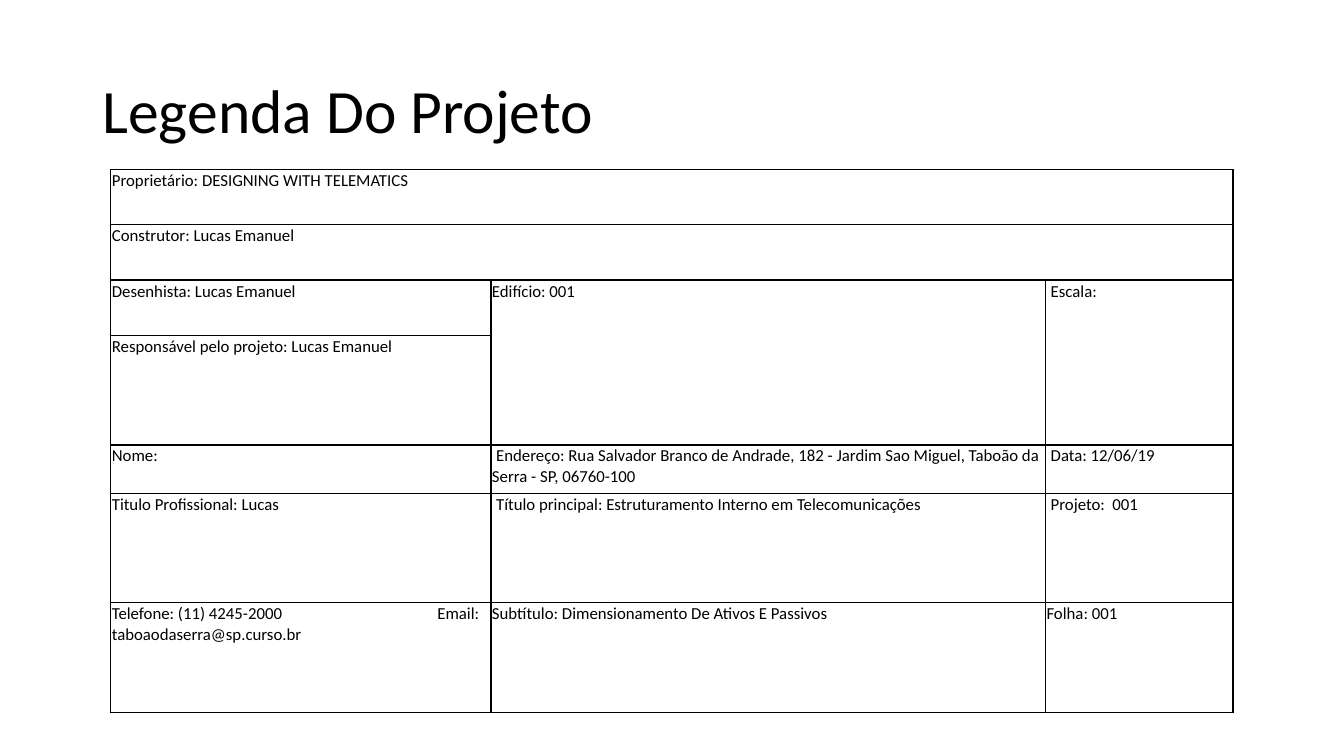
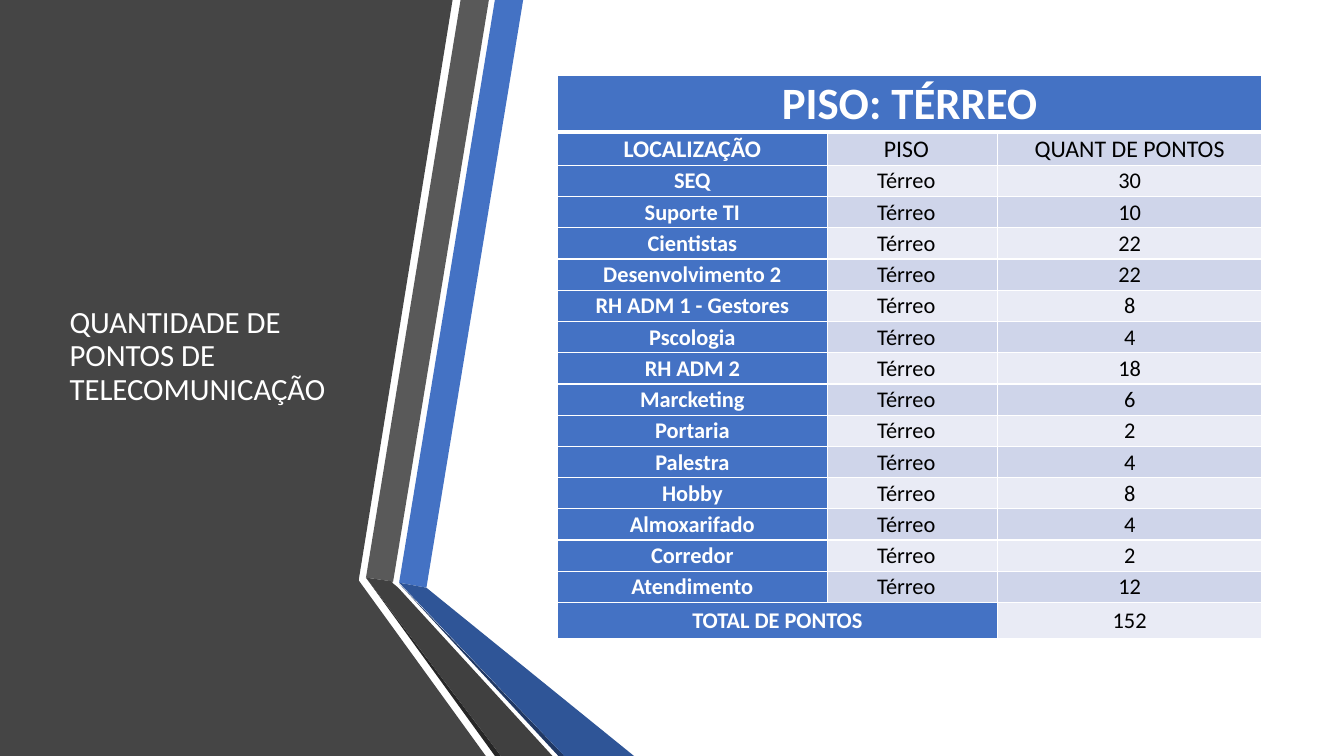
from collections import namedtuple

from lxml import etree
from pptx import Presentation
from pptx.dml.color import RGBColor
from pptx.enum import text as t
from pptx.oxml.ns import qn
from pptx.util import Pt

Box = namedtuple("Box", "left top width height")

COLORS = {
    "black": "000000",
    "white": "FFFFFF",
    "panel": "454545",
    "blue": "4472C4",
    "deep_blue": "2F5597",
    "navy": "203864",
    "gray": "595959",
    "charcoal": "404040",
    "coal": "262626",
    "band_dark": "CFD5EA",
    "band_light": "E9EBF5",
}
FONT = "Calibri"
TITLE_ONLY = 5
SLIDE = Box(0, 0, 960, 540)

TITLE_FRAME = {
    "word_wrap": True,
    "auto_size": t.MSO_AUTO_SIZE.NONE,
    "vertical_anchor": t.MSO_ANCHOR.MIDDLE,
}
TITLE_PARAGRAPH = {"alignment": t.PP_ALIGN.LEFT, "line_spacing": 0.9}

LEGEND_CELL = {
    "margin_left": Pt(0.72),
    "margin_right": Pt(0.72),
    "margin_top": Pt(0.72),
    "margin_bottom": Pt(0),
    "vertical_anchor": t.MSO_ANCHOR.TOP,
}
POINTS_CELL = {
    "margin_left": Pt(5.5),
    "margin_right": Pt(5.5),
    "margin_top": Pt(0),
    "margin_bottom": Pt(0),
    "vertical_anchor": t.MSO_ANCHOR.MIDDLE,
}
POINTS_PARAGRAPH = {"alignment": t.PP_ALIGN.CENTER, "line_spacing": 1.03}

LEGEND_COLUMNS = [3.77, 5.5, 1.86]
LEGEND_ROWS = [0.55, 0.55, 0.55, 1.09, 0.48, 1.09, 1.09]
LEGEND_SPANS = [(0, 0, 0, 2), (1, 0, 1, 2), (2, 1, 3, 1), (2, 2, 3, 2)]
LEGEND = [
    ["Proprietário: DESIGNING WITH TELEMATICS", "", ""],
    ["Construtor: Lucas Emanuel", "", ""],
    ["Desenhista: Lucas Emanuel", "Edifício: 001", "Escala:"],
    ["Responsável pelo projeto: Lucas Emanuel", "", ""],
    ["Nome:",
     "Endereço: Rua Salvador Branco de Andrade, 182 - Jardim Sao Miguel, "
     "Taboão da Serra - SP, 06760-100",
     "Data: 12/06/19"],
    ["Titulo Profissional: Lucas",
     "Título principal: Estruturamento Interno em Telecomunicações",
     "Projeto:  001"],
    ["Telefone: (11) 4245-2000\tEmail:\vtaboaodaserra@sp.curso.br",
     "Subtítulo: Dimensionamento De Ativos E Passivos",
     "Folha: 001"],
]
LEGEND_INDENTED = {(2, 2), (4, 1), (4, 2), (5, 1), (5, 2)}
LEGEND_INDENT = 3
EMAIL_CELL, EMAIL_TAB = (6, 0), 232.5

FLOOR = "Térreo"
POINTS = [
    ("SEQ", 30),
    ("Suporte TI", 10),
    ("Cientistas", 22),
    ("Desenvolvimento 2", 22),
    ("RH ADM 1 - Gestores", 8),
    ("Pscologia", 4),
    ("RH ADM 2", 18),
    ("Marcketing", 6),
    ("Portaria", 2),
    ("Palestra", 4),
    ("Hobby", 8),
    ("Almoxarifado", 4),
    ("Corredor", 2),
    ("Atendimento", 12),
]
POINTS_COLUMNS = [2.68, 1.69, 2.63]
POINTS_ROWS = [0.55, 0.33] + [0.31] * len(POINTS) + [0.36]

PANEL = [(0, 0), (323.3, 0), (256.3, 414), (256.3, 414.7), (347, 540), (0, 540)]
RIBBONS = [
    ("blue", [(285.1, 416.2), (304.6, 419.8), (373.7, 0), (353.5, 0)]),
    ("gray", [(349.2, 0), (329, 0), (261.4, 412.6), (280.8, 415.4)]),
    ("coal", [(261.4, 412.6), (353.5, 540), (357.8, 540)]),
    ("navy", [(285.1, 416.9), (398.9, 540), (403.2, 540)]),
    ("deep_blue", [(285.1, 416.2), (403.2, 540), (452.9, 540), (304.6, 419.8)]),
    ("charcoal", [(394.6, 540), (284.4, 419.8), (280.1, 416.2),
                  (280.8, 415.4), (261.4, 412.6), (357.8, 540)]),
]


def rgb(color):
    return RGBColor.from_string(COLORS[color])


def apply(target, values):
    for name, value in values.items():
        setattr(target, name, value)


def set_font(paragraph, size, color, bold=False):
    for run in paragraph.runs:
        apply(run.font, {"name": FONT, "size": Pt(size), "bold": bold})
        run.font.color.rgb = rgb(color)


def place_title(slide, box, wording, size, color):
    title = slide.shapes.title
    apply(title, {side: Pt(length) for side, length in box._asdict().items()})
    frame = title.text_frame
    frame.text = wording
    apply(frame, TITLE_FRAME)
    apply(frame.paragraphs[0], TITLE_PARAGRAPH)
    set_font(frame.paragraphs[0], size, color)
    return title


def border_cell(cell, color, widths):
    properties = cell._tc.get_or_add_tcPr()
    for side, width in zip("LRTB", widths):
        line = etree.SubElement(properties, qn(f"a:ln{side}"), w=str(Pt(width)))
        fill = etree.SubElement(line, qn("a:solidFill"))
        etree.SubElement(fill, qn("a:srgbClr"), val=COLORS[color])


def place_grid(slide, box, column_shares, row_shares, spans):
    frame = slide.shapes.add_table(
        len(row_shares), len(column_shares), *(Pt(length) for length in box))
    grid = frame.table
    apply(grid, {"first_row": False, "horz_banding": False})
    for column, share in zip(grid.columns, column_shares):
        column.width = Pt(box.width * share / sum(column_shares))
    for row, share in zip(grid.rows, row_shares):
        row.height = Pt(box.height * share / sum(row_shares))
    for top, left, bottom, right in spans:
        grid.cell(top, left).merge(grid.cell(bottom, right))
    return grid


def place_legend(slide, box):
    grid = place_grid(slide, box, LEGEND_COLUMNS, LEGEND_ROWS, LEGEND_SPANS)
    for r, row in enumerate(LEGEND):
        for c, wording in enumerate(row):
            cell = grid.cell(r, c)
            border_cell(cell, "black", [1] * 4)
            cell.fill.background()
            apply(cell, LEGEND_CELL)
            cell.text = wording
            entry = cell.text_frame.paragraphs[0]
            set_font(entry, 12, "black")
            if (r, c) in LEGEND_INDENTED:
                entry._p.get_or_add_pPr().set("indent", str(Pt(LEGEND_INDENT)))
            if (r, c) == EMAIL_CELL:
                stops = etree.SubElement(entry._p.get_or_add_pPr(), qn("a:tabLst"))
                etree.SubElement(stops, qn("a:tab"), pos=str(Pt(EMAIL_TAB)), algn="l")


def place_points(slide, box):
    total = sum(count for _, count in POINTS)
    rows = [
        ("PISO: TÉRREO", "", ""),
        ("LOCALIZAÇÃO", "PISO", "QUANT DE PONTOS"),
        *((place, FLOOR, str(count)) for place, count in POINTS),
        ("TOTAL DE PONTOS", "", str(total)),
    ]
    last = len(rows) - 1
    spans = [(0, 0, 0, 2), (last, 0, last, 1)]
    grid = place_grid(slide, box, POINTS_COLUMNS, POINTS_ROWS, spans)
    sizes = {0: 32, 1: 17}
    for r, row in enumerate(rows):
        band = "band_dark" if r % 2 else "band_light"
        for c, wording in enumerate(row):
            heading = r == 0 or c == 0
            cell = grid.cell(r, c)
            border_cell(cell, "white",
                        [1, 1, 3 if r == 1 else 1, 3 if r == 0 else 1])
            cell.fill.solid()
            cell.fill.fore_color.rgb = rgb("blue" if heading else band)
            apply(cell, POINTS_CELL)
            if c == 1:
                cell.margin_right = Pt(14)
            cell.text = wording
            entry = cell.text_frame.paragraphs[0]
            apply(entry, POINTS_PARAGRAPH)
            set_font(entry, sizes.get(r, 16), "white" if heading else "black", heading)


def draw_outline(shapes, box, color, corners):
    units = [((box.left + x) * 100, (box.top + y) * 100) for x, y in corners]
    builder = shapes.build_freeform(*units[0], scale=Pt(1) / 100)
    builder.add_line_segments(units[1:], close=True)
    outline = builder.convert_to_shape()
    outline.shadow.inherit = False
    outline.fill.solid()
    outline.fill.fore_color.rgb = rgb(color)
    outline.line.fill.background()


def place_side_panel(slide, box):
    draw_outline(slide.shapes, box, "panel", PANEL)
    ribbons = slide.shapes.add_group_shape()
    for color, corners in RIBBONS:
        draw_outline(ribbons.shapes, box, color, corners)


def build_legend_slide(deck):
    slide = deck.slides.add_slide(deck.slide_layouts[TITLE_ONLY])
    place_title(slide, Box(66, 28.8, 828, 104.4), "Legenda Do Projeto", 44, "black")
    place_legend(slide, Box(79.2, 121, 801.6, 388))


def build_points_slide(deck):
    slide = deck.slides.add_slide(deck.slide_layouts[TITLE_ONLY])
    place_side_panel(slide, SLIDE)
    title = place_title(slide, Box(42.5, 54, 219, 402),
                        "QUANTIDADE DE PONTOS DE TELECOMUNICAÇÃO", 22, "white")
    slide.shapes._spTree.append(title._element)
    place_points(slide, Box(398.2, 54, 503.3, 402))


def main():
    deck = Presentation()
    deck.slide_width, deck.slide_height = Pt(SLIDE.width), Pt(SLIDE.height)
    build_legend_slide(deck)
    build_points_slide(deck)
    deck.save("out.pptx")


if __name__ == "__main__":
    main()
